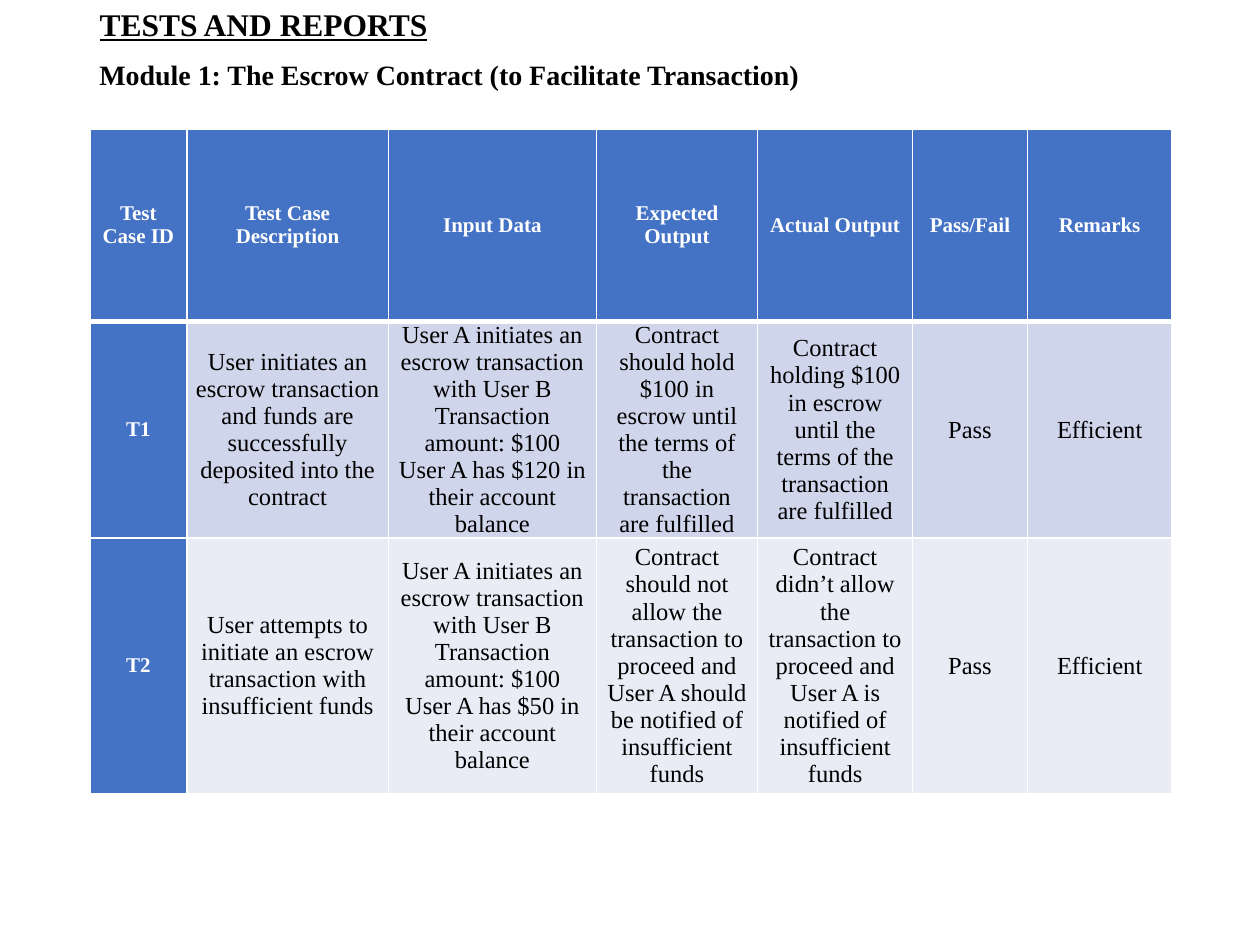
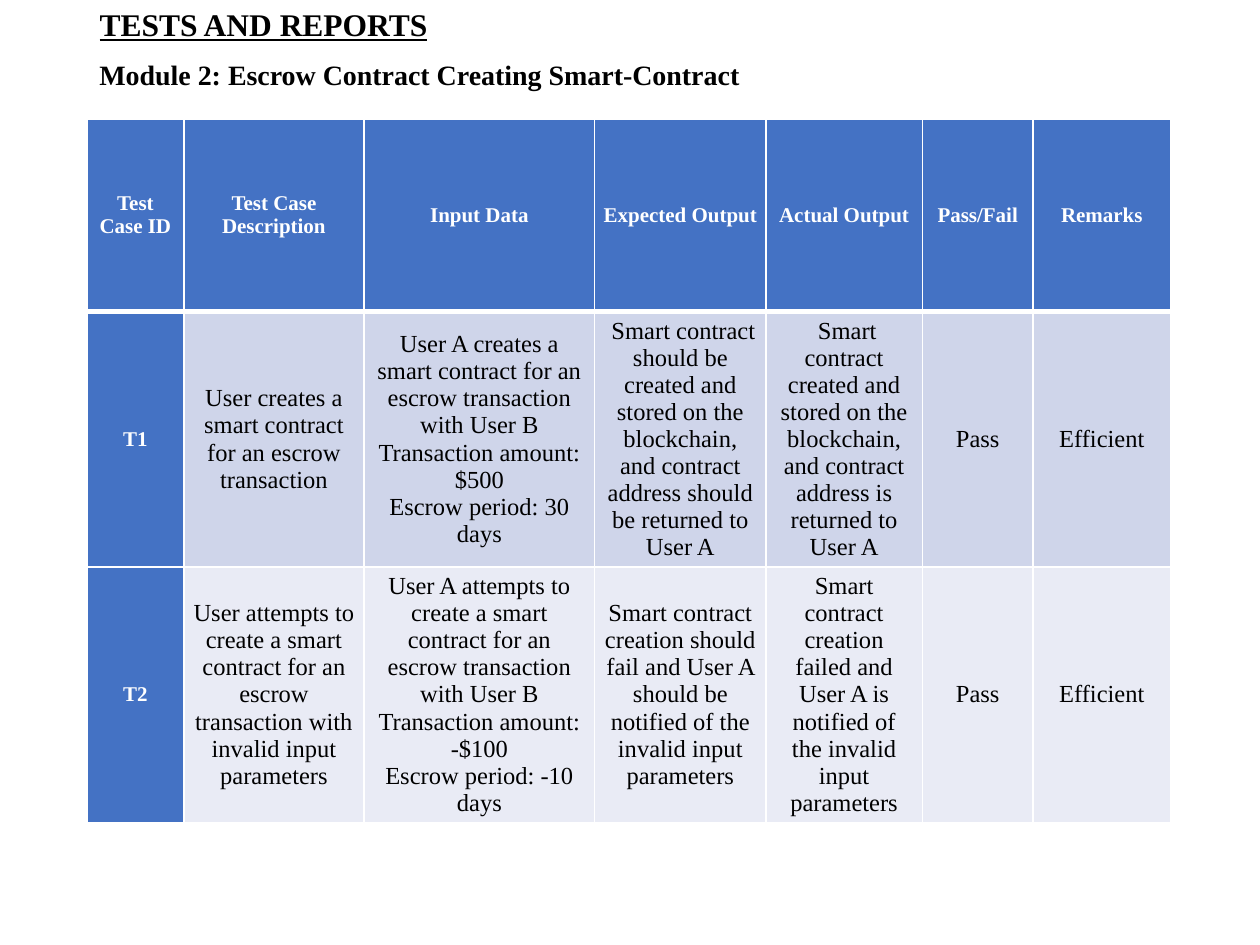
from lxml import etree
from pptx import Presentation
from pptx.dml.color import RGBColor
from pptx.enum.text import MSO_ANCHOR, MSO_AUTO_SIZE, PP_ALIGN
from pptx.oxml.ns import qn
from pptx.util import Pt

HEADING = "TESTS AND REPORTS"
HEADERS = ["Test Case ID", "Test Case Description", "Input Data", "Expected Output",
           "Actual Output", "Pass/Fail", "Remarks"]
MODULES = [
    {
        "name": "Module 1: The Escrow Contract (to Facilitate Transaction)",
        "spot": (51.4, 73.7),
        "cols": [55.4, 115.2, 118.8, 92.2, 88.6, 65.5, 82.8],
        "rows": [110, 110, 146],
        "cases": [
            ["T1",
             "User initiates an escrow transaction and funds are successfully deposited "
             "into the contract",
             "User A initiates an escrow transaction with User B\n"
             "Transaction amount: $100\nUser A has $120 in their account balance",
             "Contract should hold $100 in escrow until the terms of the transaction "
             "are fulfilled",
             "Contract holding $100 in escrow until the terms of the transaction "
             "are fulfilled",
             "Pass", "Efficient"],
            ["T2",
             "User attempts to initiate an escrow transaction with insufficient funds",
             "User A initiates an escrow transaction with User B\n"
             "Transaction amount: $100\nUser A has $50 in their account balance",
             "Contract should not allow the transaction to proceed and User A should be "
             "notified of insufficient funds",
             "Contract didn’t allow the transaction to proceed and User A is notified "
             "of insufficient funds",
             "Pass", "Efficient"],
        ],
    },
    {
        "name": "Module 2: Escrow Contract Creating Smart-Contract",
        "spot": (49.7, 68),
        "cols": [55.4, 103, 131.8, 97.9, 89.3, 63.4, 78.5],
        "rows": [110, 146, 146],
        "cases": [
            ["T1",
             "User creates a smart contract for an escrow transaction",
             "User A creates a smart contract for an escrow transaction with User B\n"
             "Transaction amount: $500\nEscrow period: 30 days",
             " Smart contract should be created and stored on the blockchain, and "
             "contract address should be returned to User A",
             " Smart contract created and stored on the blockchain, and contract "
             "address is returned to User A",
             "Pass", "Efficient"],
            ["T2",
             "User attempts to create a smart contract for an escrow transaction with "
             "invalid input parameters",
             "User A attempts to create a smart contract for an escrow transaction "
             "with User B\nTransaction amount: -$100\nEscrow period: -10 days",
             "Smart contract creation should fail and User A should be notified of the "
             "invalid input parameters",
             "Smart contract creation failed and User A is notified of the invalid "
             "input parameters",
             "Pass", "Efficient"],
        ],
    },
]

FONT = "Times New Roman"
BLACK = RGBColor(0x00, 0x00, 0x00)
WHITE = RGBColor(0xFF, 0xFF, 0xFF)
BLUE = RGBColor(0x44, 0x72, 0xC4)
BANDS = [RGBColor(0xCF, 0xD5, 0xEA), RGBColor(0xE9, 0xEB, 0xF5)]
LEFT, CENTER = PP_ALIGN.LEFT, PP_ALIGN.CENTER
MIDDLE = MSO_ANCHOR.MIDDLE
NO_FIT = MSO_AUTO_SIZE.NONE
TITLE_ONLY = 5
TITLE_BOX = (49.7, 2, 621.4, 26)
NAME_BOX = (49.7, 31, 621.4, 25)


def write(frame, text, size=14, color=BLACK, bold=False, line=False,
          align=CENTER, space=1.0):
    for i, part in enumerate(text.split("\n")):
        para = frame.add_paragraph() if i else frame.paragraphs[0]
        para.alignment = align
        para.line_spacing = space
        run = para.add_run()
        run.text = part
        font = run.font
        font.name, font.size, font.bold, font.underline = FONT, Pt(size), bold, line
        font.color.rgb = color


def add_head(shape, box, text, **style):
    shape.left, shape.top, shape.width, shape.height = map(Pt, box)
    frame = shape.text_frame
    frame.word_wrap = True
    frame.auto_size = NO_FIT
    frame.vertical_anchor = MIDDLE
    write(frame, text, bold=True, align=LEFT, space=0.9, **style)


def add_edges(cell, top, base):
    props = cell._tc.get_or_add_tcPr()
    for side, width in (("L", 1), ("R", 1), ("T", top), ("B", base)):
        edge = etree.SubElement(props, qn("a:ln" + side), w=str(Pt(width)))
        fill = etree.SubElement(edge, qn("a:solidFill"))
        etree.SubElement(fill, qn("a:srgbClr"), val=str(WHITE))


def fill_cell(cell, text, row, col):
    key = row == 0 or col == 0
    add_edges(cell, 3 if row == 1 else 1, 3 if row == 0 else 1)
    cell.fill.solid()
    cell.fill.fore_color.rgb = BLUE if key else BANDS[row - 1]
    cell.vertical_anchor = MIDDLE
    cell.margin_left = cell.margin_right = Pt(5)
    cell.margin_top = cell.margin_bottom = 0
    if key:
        write(cell.text_frame, text, size=12, color=WHITE, bold=True)
    else:
        write(cell.text_frame, text)


def add_grid(slide, spot, cols, rows, data):
    box = [*spot, sum(cols), sum(rows)]
    table = slide.shapes.add_table(len(rows), len(cols), *map(Pt, box)).table
    for column, width in zip(table.columns, cols):
        column.width = Pt(width)
    for row, height in zip(table.rows, rows):
        row.height = Pt(height)
    for r, texts in enumerate(data):
        for c, text in enumerate(texts):
            fill_cell(table.cell(r, c), text, r, c)


def main():
    deck = Presentation()
    deck.slide_width, deck.slide_height = Pt(720), Pt(540)
    for module in MODULES:
        slide = deck.slides.add_slide(deck.slide_layouts[TITLE_ONLY])
        add_head(slide.shapes.title, TITLE_BOX, HEADING, size=18, line=True)
        label = slide.shapes.add_textbox(0, 0, 0, 0)
        add_head(label, NAME_BOX, module["name"], size=16)
        add_grid(slide, module["spot"], module["cols"], module["rows"],
                 [HEADERS, *module["cases"]])
    deck.save("out.pptx")


if __name__ == "__main__":
    main()
